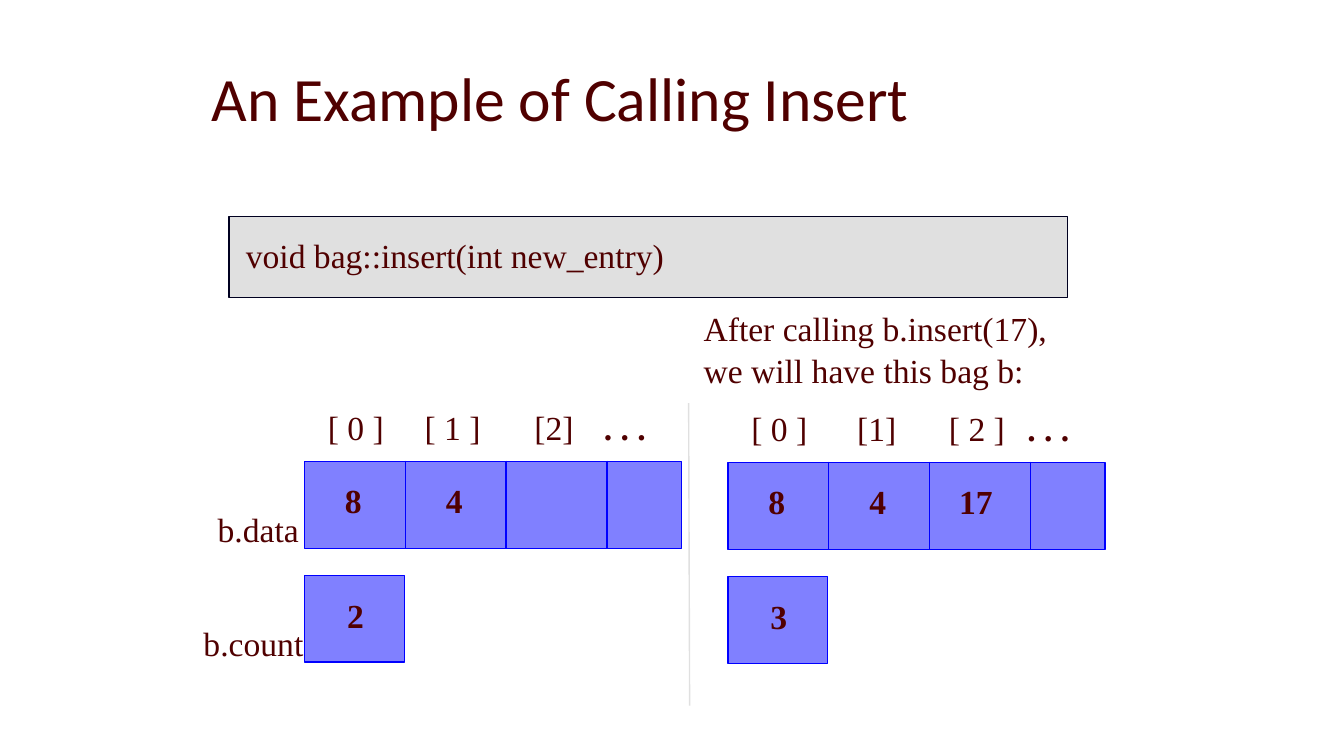
from lxml import etree
from pptx import Presentation
from pptx.dml.color import RGBColor
from pptx.enum.shapes import MSO_CONNECTOR, MSO_SHAPE
from pptx.enum.text import MSO_ANCHOR, MSO_AUTO_SIZE, PP_ALIGN
from pptx.oxml.ns import qn
from pptx.util import Pt

ROUND = MSO_SHAPE.ROUNDED_RECTANGLE
STRAIGHT = MSO_CONNECTOR.STRAIGHT
LEFT, CENTER = PP_ALIGN.LEFT, PP_ALIGN.CENTER
TOP, MIDDLE = MSO_ANCHOR.TOP, MSO_ANCHOR.MIDDLE
FIXED, GROW = MSO_AUTO_SIZE.NONE, MSO_AUTO_SIZE.SHAPE_TO_FIT_TEXT
SCALE = 9144  # EMU in one px, 100 px to the inch
SERIF = "Times New Roman"
COLORS = {
    "ink": "500000",
    "cell": "8080FF",
    "edge": "0000FF",
    "panel": "E0E0E0",
    "frame": "000020",
}
CELL, HIGH, WIDE, TALL = 100, 86, 374, 47
MARKS = (51, 147, 247)  # centres of the index marks
ITEMS = (48, 148, 246)  # centres of the stored values
WIDTHS = {1: 37, 2: 54, 3: 59, 5: 76}  # label width by text length


def px(*nums):
    return [n * SCALE for n in nums]


def color(name):
    return RGBColor.from_string(COLORS[name])


def write(frame, text, font=SERIF, size=24, bold=False, align=LEFT,
          anchor=TOP, leading=0.93, gap=0, fit=GROW):
    """Fill a text frame, one paragraph for each line of text."""
    frame.auto_size = fit
    frame.vertical_anchor = anchor
    for i, line in enumerate(text.split("\n")):
        para = frame.add_paragraph() if i else frame.paragraphs[0]
        para.alignment = align
        para.line_spacing = leading
        para.space_before = Pt(gap if i else 0)
        run = para.add_run()
        run.text = line
        run.font.name = font
        run.font.size = Pt(size)
        run.font.bold = bold
        run.font.color.rgb = color("ink")


def block(slide, box, fill=None, edge=None):
    shape = slide.shapes.add_shape(ROUND, *px(*box))
    shape.adjustments[0] = 0
    shape.shadow.inherit = False
    if fill:
        shape.fill.solid()
        shape.fill.fore_color.rgb = color(fill)
        shape.line.color.rgb = color(edge)
        shape.line.width = Pt(1)
    else:
        shape.fill.background()
        shape.line.fill.background()
    return shape


def label(slide, text, box, **style):
    frame = block(slide, box).text_frame
    frame.word_wrap = False
    write(frame, text, **style)


def center(slide, text, mid, y, **style):
    """Place a short label with its middle at x = mid."""
    wide = WIDTHS[len(text)]
    label(slide, text, (mid - wide // 2, y, wide, TALL), align=CENTER, **style)


def rule(slide, ends, edge):
    line = slide.shapes.add_connector(STRAIGHT, *px(*ends))
    line.line.color.rgb = color(edge)
    line.line.width = Pt(1)
    etree.SubElement(line._element.spPr, qn("a:effectLst"))


def title(slide, text, box):
    head = slide.shapes.title
    head.left, head.top, head.width, head.height = px(*box)
    write(head.text_frame, text, font="Calibri", size=44,
          anchor=MIDDLE, leading=0.95, fit=FIXED)


def header(slide, text, box):
    x, y, w, h = box
    block(slide, box, "panel", "frame")
    frame = slide.shapes.add_textbox(*px(x + 7, y + 17, w - 8, TALL)).text_frame
    frame.word_wrap = True
    write(frame, text)


def bag(slide, x, y, marks, data, count):
    """Draw a bag's array with its index marks, and its count below."""
    low = y + 113
    block(slide, (x, low, CELL - 1, HIGH), "cell", "edge")
    center(slide, count, x + 50, low + 18, bold=True)
    block(slide, (x, y, WIDE, HIGH), "cell", "edge")
    for i in range(1, 4):
        side = x + i * CELL
        rule(slide, (side, y - 1, side, y + HIGH), "edge")
    for mark, mid in zip(marks, MARKS):
        center(slide, mark, x + mid, y - 56)
    label(slide, ". . .", (x + 287, y - 56, 62, TALL), bold=True)
    for item, mid in zip(data, ITEMS):
        center(slide, item, x + mid, y + 17, bold=True)


def main():
    deck = Presentation()
    deck.slide_width, deck.slide_height = px(1333, 750)
    slide = deck.slides.add_slide(deck.slide_layouts[5])
    rule(slide, (683, 400, 684, 700), "panel")
    title(slide, "An Example of Calling Insert", (200, 37, 850, 125))
    label(slide, "After calling b.insert(17),\nwe will have this bag b:",
          (688, 304, 364, 128), gap=3)
    bag(slide, 722, 459, ["[ 0 ]", "[1]", "[ 2 ]"], ["8", "4", "17"], "3")
    header(slide, "void bag::insert(int new_entry)", (227, 215, 832, 80))
    label(slide, "b.data", (206, 504, 101, TALL))
    label(slide, "b.count", (192, 617, 120, TALL))
    bag(slide, 302, 458, ["[ 0 ]", "[ 1 ]", "[2]"], ["8", "4"], "2")
    deck.save("out.pptx")


if __name__ == "__main__":
    main()
